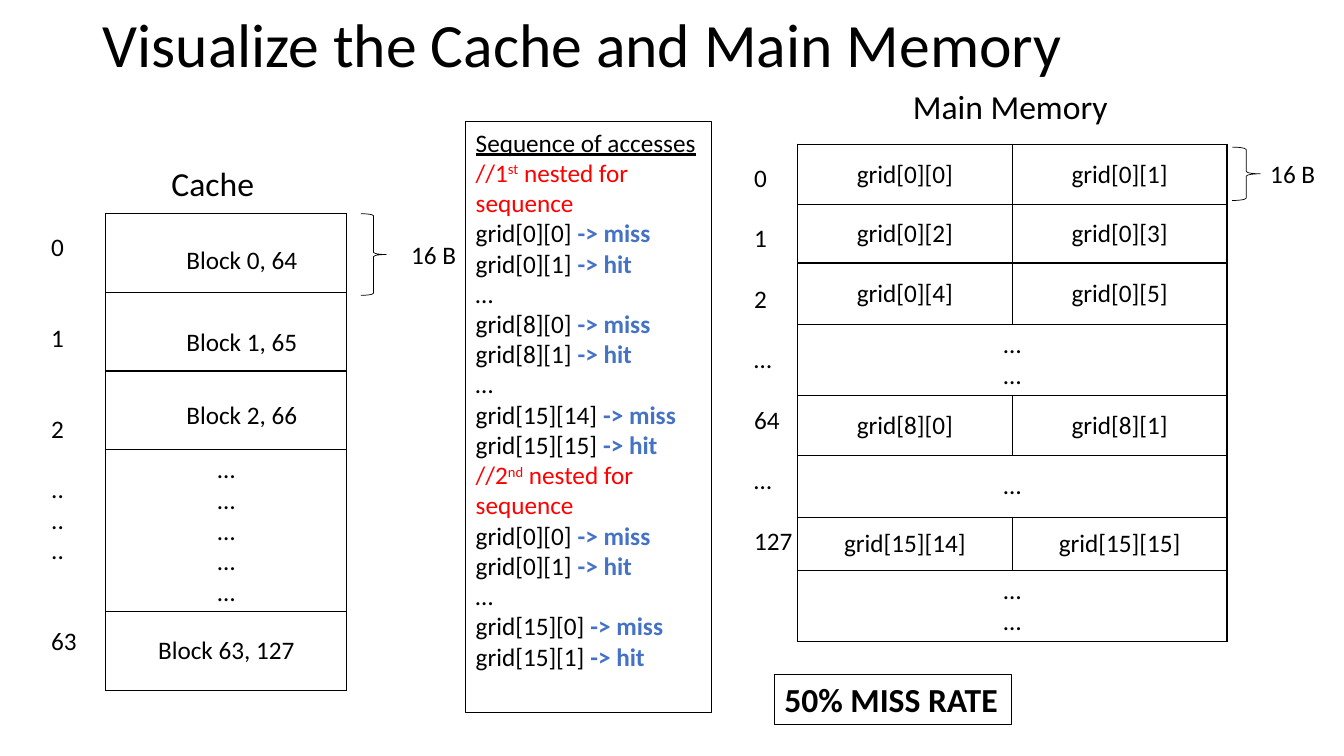
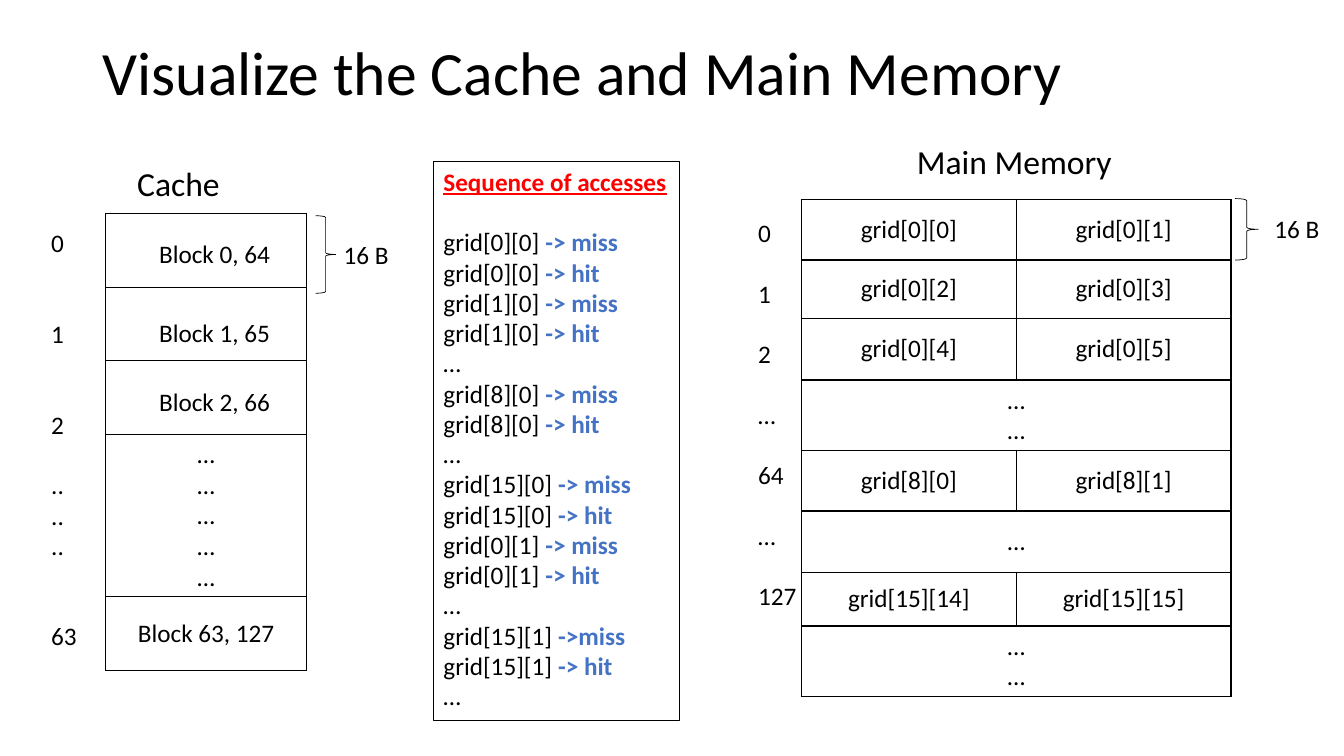
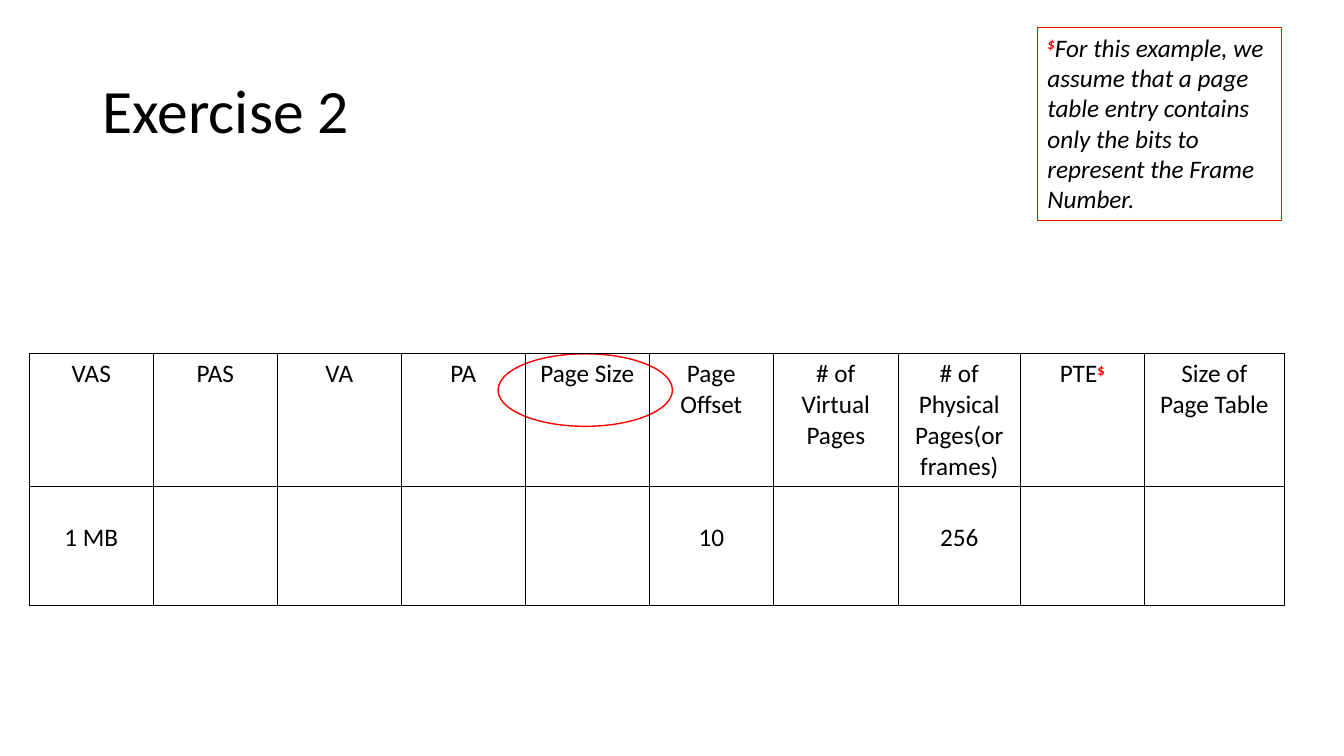
from dataclasses import dataclass

from lxml.etree import SubElement
from pptx import Presentation
from pptx.dml.color import RGBColor
from pptx.enum.shapes import MSO_SHAPE as Preset
from pptx.enum.text import MSO_ANCHOR as Anchor, PP_ALIGN as Align
from pptx.oxml.ns import qn
from pptx.util import Inches, Pt


@dataclass(frozen=True)
class Theme:
    font: str = "Calibri"
    title: int = 44
    heading: int = 24
    body: int = 18
    line_step: float = 21.6
    ink: str = "000000"
    red: str = "FF0000"
    blue: str = "4472C4"
    white: str = "FFFFFF"


THEME = Theme()


@dataclass(frozen=True)
class Span:
    text: str
    color: str = None
    bold: bool = None
    italic: bool = None
    underline: bool = None
    superscript: bool = False


@dataclass(frozen=True)
class CacheLayout:
    width: float
    row: float
    heading_center: float
    label_left: float
    label_tops: tuple
    address_top: float
    brace: tuple
    size_left: float


ROOMY_CACHE = CacheLayout(2.39, 0.78, 1.06, 0.7, (0.25, 1.07, 1.79), 0.13,
                          (2.53, 0, 0.25, 0.81), 2.93)
NARROW_CACHE = CacheLayout(1.99, 0.73, 0.72, 0.43, (0.2, 0.98, 1.66), 0.09,
                           (2.08, 0.02, 0.2, 0.77), 2.26)

CACHE_BLOCKS = ("Block 0, 64", "Block 1, 65", "Block 2, 66")
CACHE_ADDRESSES = (("0", 0), ("1", 2), ("2", 2), ("..", 1), ("..", 0), ("..", 0), ("63", 2))
MEMORY_ADDRESSES = (("0", 0),) + tuple(
    (address, 1) for address in ("1", "2", "…", "64", "…", "127"))
MEMORY_ROWS = (
    (0.6, "grid[0][0]", "grid[0][1]"),
    (0.58, "grid[0][2]", "grid[0][3]"),
    (0.61, "grid[0][4]", "grid[0][5]"),
    (0.7, "…\n…"),
    (0.6, "grid[8][0]", "grid[8][1]"),
    (0.61, "…"),
    (0.53, "grid[15][14]", "grid[15][15]"),
    (0.7, "…\n…"),
)
NESTED_ACCESSES = (
    "//1^st^ nested for sequence",
    "grid[0][0] -> miss", "grid[0][1] -> hit", "…",
    "grid[8][0] -> miss", "grid[8][1] -> hit", "…",
    "grid[15][14] -> miss", "grid[15][15] -> hit",
    "//2^nd^ nested for sequence",
    "grid[0][0] -> miss", "grid[0][1] -> hit", "…",
    "grid[15][0] -> miss", "grid[15][1] -> hit",
)
COLUMN_ACCESSES = (
    "grid[0][0] -> miss", "grid[0][0] -> hit",
    "grid[1][0] -> miss", "grid[1][0] -> hit", "…",
    "grid[8][0] -> miss", "grid[8][0] -> hit", "…",
    "grid[15][0] -> miss", "grid[15][0] -> hit",
    "grid[0][1] -> miss", "grid[0][1] -> hit", "…",
    "grid[15][1] ->miss", "grid[15][1] -> hit", "…",
)
FOOTNOTE_MARK = Span("$", THEME.red, bold=True, superscript=True)
EXERCISE_COLUMNS = (
    (1.23, "VAS", "1 MB"),
    (1.23, "PAS", ""),
    (1.23, "VA", ""),
    (1.23, "PA", ""),
    (1.23, "Page Size", ""),
    (1.23, "Page Offset", "10"),
    (1.24, "# of Virtual Pages", ""),
    (1.21, "# of Physical Pages(or frames)", "256"),
    (1.23, (Span("PTE"), FOOTNOTE_MARK), ""),
    (1.39, "Size of Page Table", ""),
)


def inches(box):
    return [Inches(length) for length in box]


def color_of(code):
    return RGBColor.from_string(code)


def write_paragraph(paragraph, content, size=THEME.body, align=Align.LEFT):
    paragraph.alignment = align
    font = paragraph.font
    font.name, font.size = THEME.font, Pt(size)
    font.color.rgb = color_of(THEME.ink)
    spans = (Span(content),) if isinstance(content, str) else content
    for span in spans:
        if not span.text:
            continue
        run = paragraph.add_run()
        run.text = span.text
        run.font.bold = span.bold
        run.font.italic = span.italic
        run.font.underline = span.underline
        if span.color:
            run.font.color.rgb = color_of(span.color)
        if span.superscript:
            run.font._element.set("baseline", "30000")


def write(frame, contents, size=THEME.body, align=Align.LEFT):
    for index, content in enumerate(contents):
        paragraph = frame.add_paragraph() if index else frame.paragraphs[0]
        write_paragraph(paragraph, content, size, align)


def add_text(slide, box, contents, size=THEME.body, align=Align.LEFT, border=None):
    shape = slide.shapes.add_textbox(*inches(box))
    shape.text_frame.word_wrap = True
    write(shape.text_frame, contents, size, align)
    if border:
        shape.line.color.rgb = color_of(border)
        shape.line.width = Pt(0.75)
    return shape


def add_title(slide, text, top, height):
    frame = add_text(slide, (0.92, top, 11.5, height), [text], THEME.title).text_frame
    frame.vertical_anchor = Anchor.MIDDLE
    frame.paragraphs[0].line_spacing = 0.9


def add_heading(slide, text, center, top):
    add_text(slide, (center - 1.22, top, 2.44, 0.5), [text], THEME.heading, Align.CENTER)


def add_outline(slide, preset, box, color, width, fill=None):
    shape = slide.shapes.add_shape(preset, *inches(box))
    shape.shadow.inherit = False
    if fill:
        shape.fill.solid()
        shape.fill.fore_color.rgb = color_of(fill)
    else:
        shape.fill.background()
    shape.line.color.rgb = color_of(color)
    shape.line.width = Pt(width)


def add_size_brace(slide, box, label_left, label_top):
    add_outline(slide, Preset.RIGHT_BRACE, box, THEME.ink, 0.5)
    add_text(slide, (label_left, label_top, 0.71, 0.4), ["16 B"])


def add_addresses(slide, box, addresses):
    shape = add_text(slide, box, [address for address, _ in addresses])
    for paragraph, (_, gap) in zip(shape.text_frame.paragraphs, addresses):
        paragraph.space_before = Pt(gap * THEME.line_step)


def style_cell(cell):
    properties = cell._tc.get_or_add_tcPr()
    for side in ("a:lnL", "a:lnR", "a:lnT", "a:lnB"):
        line = SubElement(properties, qn(side), w=str(Pt(1)))
        fill = SubElement(line, qn("a:solidFill"))
        SubElement(fill, qn("a:srgbClr"), val=THEME.ink)
    cell.fill.background()


def add_grid(slide, left, top, widths, heights):
    box = inches((left, top, sum(widths), sum(heights)))
    table = slide.shapes.add_table(len(heights), len(widths), *box).table
    table.first_row = table.horz_banding = False
    for column, width in zip(table.columns, widths):
        column.width = Inches(width)
    for row, height in zip(table.rows, heights):
        row.height = Inches(height)
    for cell in table.iter_cells():
        style_cell(cell)
    return table


def fill_cell(cell, text):
    cell.vertical_anchor = Anchor.MIDDLE
    write(cell.text_frame, text.split("\n"), align=Align.CENTER)


def add_cache(slide, left, top, layout):
    heights = [layout.row] * 3 + [1.61, layout.row]
    table = add_grid(slide, left, top, [layout.width], heights)
    fill_cell(table.cell(3, 0), "\n".join("…" * 5))
    fill_cell(table.cell(4, 0), "Block 63, 127")
    for block, offset in zip(CACHE_BLOCKS, layout.label_tops):
        add_text(slide, (left + layout.label_left, top + offset, 1.5, 0.4), [block])
    add_heading(slide, "Cache", left + layout.heading_center, top - 0.55)
    add_addresses(slide, (left - 0.64, top + layout.address_top, 0.63, 4.34), CACHE_ADDRESSES)
    x, y, width, height = layout.brace
    add_size_brace(slide, (left + x, top + y, width, height),
                   left + layout.size_left, top + 0.21)


def add_main_memory(slide, left, top, brace):
    table = add_grid(slide, left, top, [2.13, 2.13], [row[0] for row in MEMORY_ROWS])
    for index, (_, *texts) in enumerate(MEMORY_ROWS):
        if len(texts) == 1:
            table.cell(index, 0).merge(table.cell(index, 1))
        for column, text in enumerate(texts):
            fill_cell(table.cell(index, column), text)
    add_heading(slide, "Main Memory", left + 2.11, top - 0.63)
    add_addresses(slide, (left - 0.53, top + 0.13, 0.71, 4.04), MEMORY_ADDRESSES)
    x, y, width, height = brace
    add_size_brace(slide, (left + x, top + y, width, height), left + 4.59, top + 0.09)


def access_spans(line):
    if line.startswith("//"):
        return [Span(part, THEME.red, superscript=index == 1)
                for index, part in enumerate(line.split("^"))]
    access, arrow, outcome = line.partition("->")
    return [Span(access), Span(arrow + outcome, THEME.blue, bold=True)]


def add_accesses(slide, box, heading, accesses, gap=0):
    contents = [[heading]] + [access_spans(line) for line in accesses]
    shape = add_text(slide, box, contents, border=THEME.ink)
    shape.text_frame.paragraphs[0].space_after = Pt(gap * THEME.line_step)


def build_nested_slide(slide):
    add_title(slide, "Visualize the Cache and Main Memory", 0.02, 0.9)
    add_cache(slide, 1.05, 2.12, ROOMY_CACHE)
    add_main_memory(slide, 7.91, 1.43, (4.31, 0.03, 0.28, 0.53))
    add_accesses(slide, (4.62, 1.21, 2.44, 5.86),
                 Span("Sequence of accesses", underline=True), NESTED_ACCESSES)
    add_text(slide, (7.68, 6.69, 2.35, 0.5), [[Span("50% MISS RATE", bold=True)]],
             THEME.heading, border=THEME.ink)


def build_column_slide(slide):
    add_title(slide, "Visualize the Cache and Main Memory", 0.02, 1.45)
    add_accesses(slide, (4.3, 1.6, 2.44, 5.55),
                 Span("Sequence of accesses", THEME.red, bold=True, underline=True),
                 COLUMN_ACCESSES, gap=1)
    add_main_memory(slide, 7.95, 1.98, (4.3, -0.01, 0.23, 0.61))
    add_cache(slide, 1.05, 2.12, NARROW_CACHE)


def add_exercise_table(slide, left, top):
    widths = [column[0] for column in EXERCISE_COLUMNS]
    table = add_grid(slide, left, top, widths, [1.32, 1.18])
    for index, (_, heading, value) in enumerate(EXERCISE_COLUMNS):
        write(table.cell(0, index).text_frame, [heading], align=Align.CENTER)
        value_cell = table.cell(1, index)
        value_cell.margin_top = Inches(0.35)
        write(value_cell.text_frame, [value], align=Align.CENTER)


def build_exercise_slide(slide):
    add_outline(slide, Preset.OVAL, (4.94, 3.51, 1.73, 0.72), THEME.red, 1, THEME.white)
    add_title(slide, "Exercise 2", 0.4, 1.45)
    add_exercise_table(slide, 0.29, 3.51)
    note = Span("For this example, we assume that a page table entry contains only "
                "the bits to represent the Frame Number.", italic=True)
    mark = Span("$", THEME.red, bold=True, italic=True, superscript=True)
    add_text(slide, (10.29, 0.27, 2.42, 1.92), [[mark, note]], border=THEME.red)


def main():
    presentation = Presentation()
    presentation.slide_width, presentation.slide_height = Inches(13.33), Inches(7.5)
    blank = presentation.slide_layouts[6]
    for build in (build_nested_slide, build_column_slide, build_exercise_slide):
        build(presentation.slides.add_slide(blank))
    presentation.save("out.pptx")


if __name__ == "__main__":
    main()
